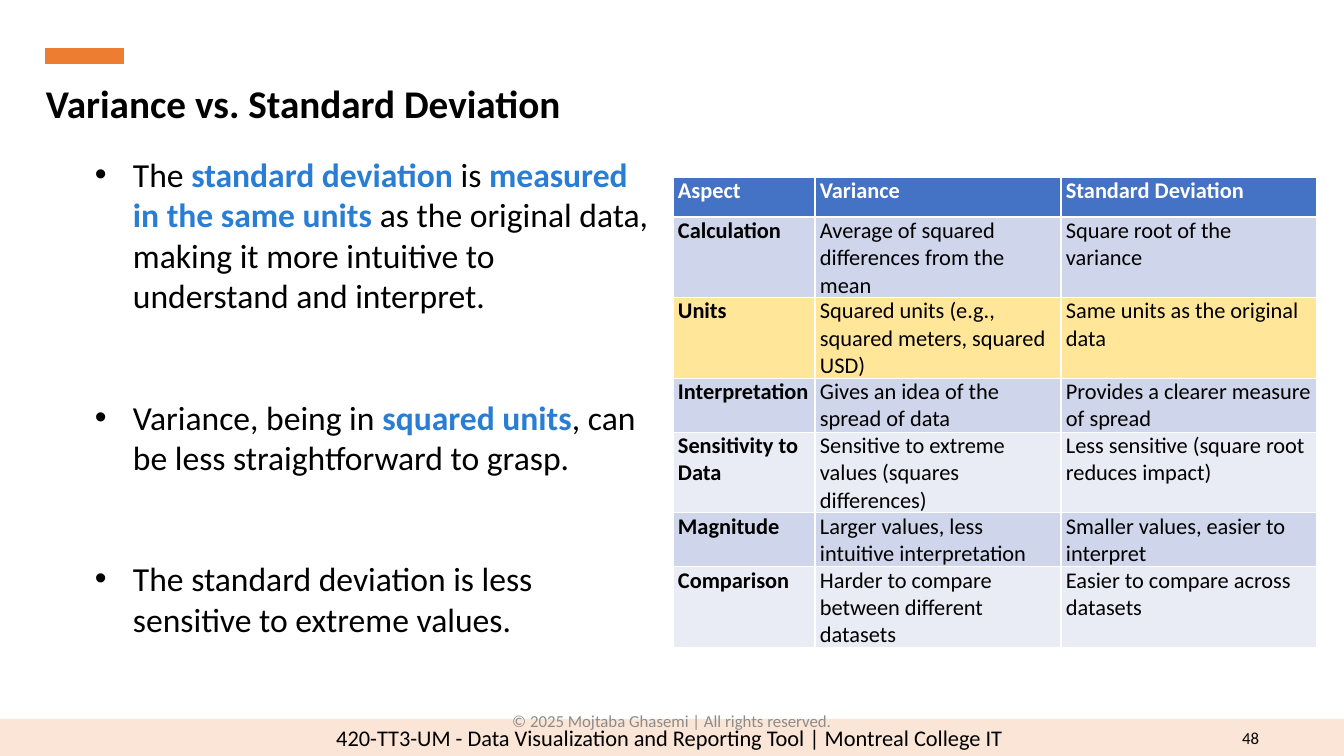
"""Build the slide comparing variance with standard deviation."""
from lxml.etree import SubElement
from pptx import Presentation
from pptx.dml.color import RGBColor
from pptx.enum.shapes import MSO_SHAPE
from pptx.enum.text import MSO_ANCHOR, PP_ALIGN
from pptx.oxml.ns import qn
from pptx.util import Emu, Pt

PX = 914400 / 100.8
FONT = "Calibri"
HUES = {
    "black": "000000", "white": "FFFFFF", "gray": "8C8C8C",
    "blue": "297ED4", "orange": "ED7D31", "peach": "FBE5D6",
    "head": "4472C4", "dark": "CFD5EA", "light": "E9EBF5", "gold": "FFE699",
}
TITLE = "Variance vs. Standard Deviation"
FOOTER = "420-TT3-UM - Data Visualization and Reporting Tool | Montreal College IT "
RIGHTS = "© 2025 Mojtaba Ghasemi | All rights reserved."
PAGE = "48"
POINTS = [
    [("The ", False), ("standard deviation ", True), ("is ", False),
     ("measured in the same units ", True),
     ("as the original data, making it more intuitive to understand and interpret.", False)],
    [("Variance, being in ", False), ("squared units", True),
     (", can be less straightforward to grasp.", False)],
    [("The standard deviation is less sensitive to extreme values.", False)],
]
ROWS = [
    ("Aspect", "Variance", "Standard Deviation"),
    ("Calculation", "Average of squared differences from the mean",
     "Square root of the variance"),
    ("Units", "Squared units (e.g., squared meters, squared USD)",
     "Same units as the original data"),
    ("Interpretation", "Gives an idea of the spread of data",
     "Provides a clearer measure of spread"),
    ("Sensitivity to Data", "Sensitive to extreme values (squares differences)",
     "Less sensitive (square root reduces impact)"),
    ("Magnitude", "Larger values, less intuitive interpretation",
     "Smaller values, easier to interpret"),
    ("Comparison", "Harder to compare between different datasets",
     "Easier to compare across datasets"),
]
WIDTHS = [142, 246, 256]
HEIGHTS = [40, 80, 80, 54, 80, 54, 80]
GOLD_ROW = 2


def px(n):
    return Emu(round(n * PX))


def hue(name):
    return RGBColor.from_string(HUES[name])


def style(font, size, color="black", bold=False):
    font.name, font.size, font.bold = FONT, Pt(size), bold
    font.color.rgb = hue(color)


def add_bar(slide, box, color):
    bar = slide.shapes.add_shape(MSO_SHAPE.RECTANGLE, *map(px, box))
    bar.shadow.inherit = False
    bar.fill.solid()
    bar.fill.fore_color.rgb = hue(color)
    bar.line.fill.background()
    return bar


def write(shape, text, size, color="black", bold=False,
          align=PP_ALIGN.LEFT, anchor=MSO_ANCHOR.TOP):
    frame = shape.text_frame
    frame.word_wrap = True
    frame.vertical_anchor = anchor
    frame.text = text
    para = frame.paragraphs[0]
    para.alignment = align
    style(para.runs[0].font, size, color, bold)


def add_box(slide, box):
    return slide.shapes.add_textbox(*map(px, box))


def add_points(slide, box):
    frame = add_box(slide, box).text_frame
    frame.word_wrap = True
    for i, parts in enumerate(POINTS):
        para = frame.add_paragraph() if i else frame.paragraphs[0]
        props = para._p.get_or_add_pPr()
        props.set("marL", str(px(38)))
        props.set("indent", str(-px(38)))
        SubElement(props, qn("a:buFont")).set("typeface", "Arial")
        SubElement(props, qn("a:buChar")).set("char", "•")
        if i:
            para.space_before = Pt(58)
        for text, key in parts:
            run = para.add_run()
            run.text = text
            style(run.font, 24, "blue" if key else "black", key)


def row_hue(r):
    if r == 0:
        return "head"
    if r == GOLD_ROW:
        return "gold"
    return "dark" if r % 2 else "light"


def add_grid(slide, left, top):
    box = (left, top, sum(WIDTHS), sum(HEIGHTS))
    grid = slide.shapes.add_table(len(ROWS), len(WIDTHS), *map(px, box)).table
    for col, width in zip(grid.columns, WIDTHS):
        col.width = px(width)
    for r, texts in enumerate(ROWS):
        grid.rows[r].height = px(HEIGHTS[r])
        for c, text in enumerate(texts):
            cell = grid.cell(r, c)
            cell.margin_left = cell.margin_right = px(5)
            cell.margin_top = cell.margin_bottom = 0
            cell.fill.solid()
            cell.fill.fore_color.rgb = hue(row_hue(r))
            write(cell, text, 16, "black" if r else "white", r == 0 or c == 0)


def main():
    deck = Presentation()
    deck.slide_width, deck.slide_height = px(1344), px(756)
    slide = deck.slides.add_slide(deck.slide_layouts[6])
    write(add_bar(slide, (0, 719, 1344, 37), "peach"), FOOTER, 16,
          align=PP_ALIGN.CENTER)
    write(add_box(slide, (1231, 718, 38, 40)), PAGE, 12,
          align=PP_ALIGN.RIGHT, anchor=MSO_ANCHOR.MIDDLE)
    add_bar(slide, (45, 48, 79, 16), "orange")
    write(add_box(slide, (36, 74, 1154, 57)), TITLE, 28, bold=True)
    add_points(slide, (85, 149, 580, 499))
    add_grid(slide, 673, 177)
    write(add_box(slide, (445, 701, 454, 40)), RIGHTS, 12, "gray",
          align=PP_ALIGN.CENTER, anchor=MSO_ANCHOR.MIDDLE)
    deck.save("out.pptx")


if __name__ == "__main__":
    main()
